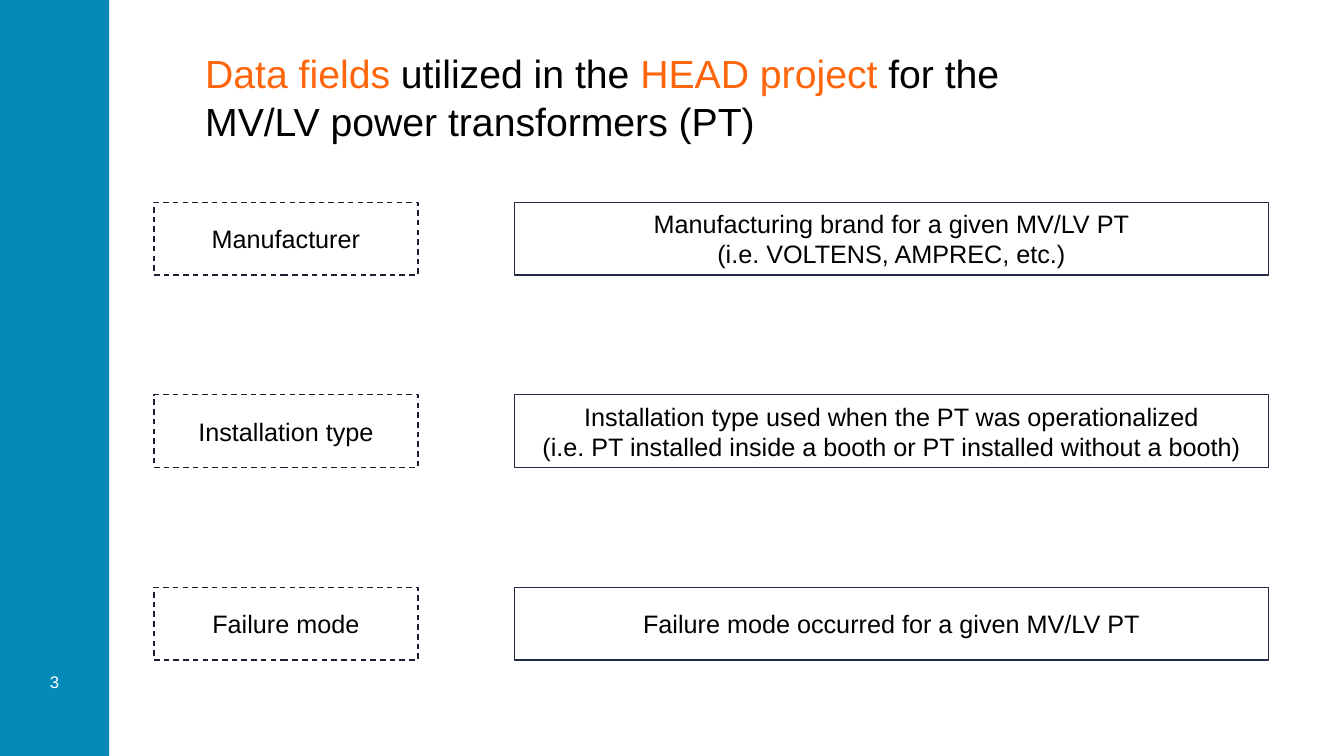
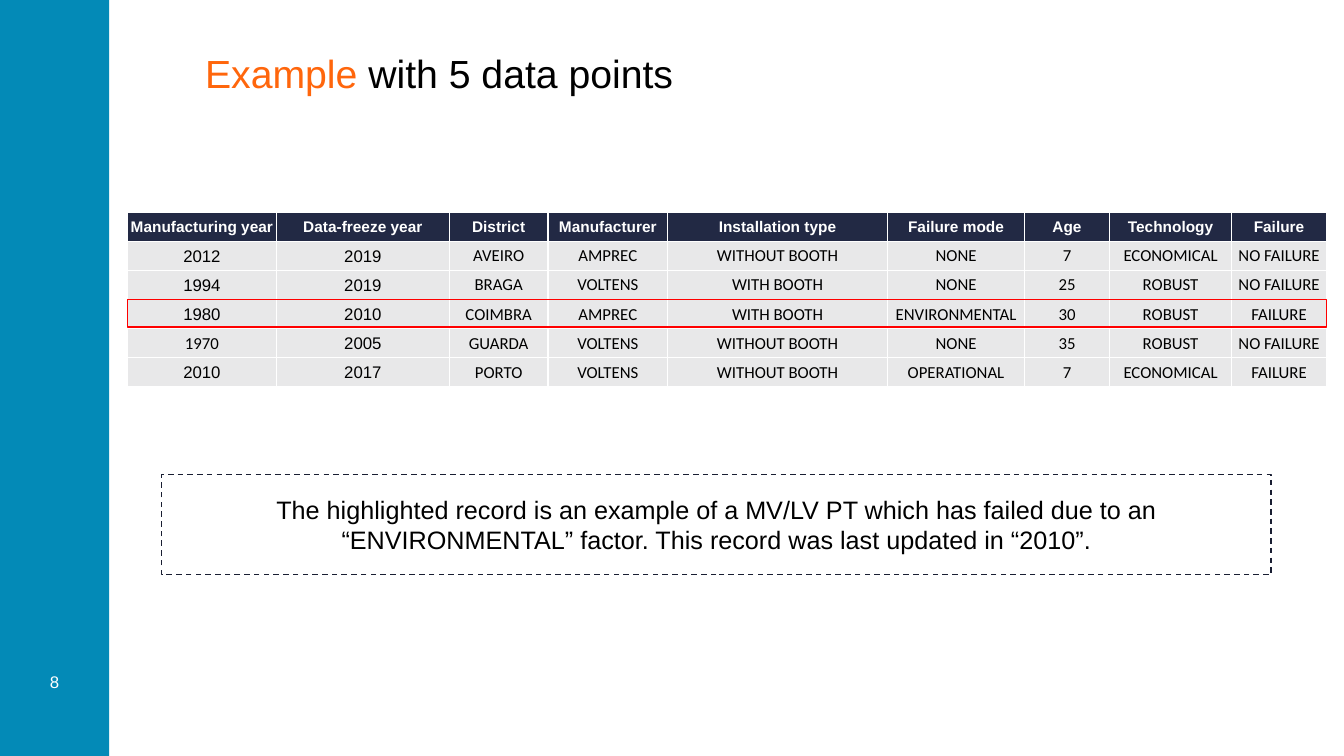
from dataclasses import dataclass

from pptx import Presentation
from pptx.dml.color import RGBColor as RGB
from pptx.enum.dml import MSO_LINE as Dash
from pptx.enum.shapes import MSO_SHAPE as Shape
from pptx.enum.text import MSO_ANCHOR as Anchor, PP_ALIGN as Align
from pptx.util import Pt


@dataclass(frozen=True)
class Theme:
    band: str = "038AB7"
    accent: str = "FF660C"
    ink: str = "000000"
    white: str = "FFFFFF"
    navy: str = "222944"
    edge: str = "191E32"
    cell: str = "E8E8E9"
    alert: str = "FF0000"
    sans: str = "Arial"
    data: str = "Calibri"
    title: int = 28
    body: int = 18
    small: int = 12
    head: int = 11


class Deck:
    def __init__(self, theme):
        self.theme = theme
        self.prs = Presentation()
        self.prs.slide_width = Pt(960)
        self.prs.slide_height = Pt(540)
        self.slide = None

    def page(self, number, title):
        t = self.theme
        self.slide = self.prs.slides.add_slide(self.prs.slide_layouts[6])
        self.box((0, 0, 78, 540), fill=t.band)
        self.text((0, 463, 78, 48), [(str(number), t.white)], t.small,
                  Align.CENTER, Anchor.MIDDLE)
        self.text((139.5, 30, 628, 65), title, t.title, spacing=1.04)

    def style(self, run, size, color, font=None, bold=False):
        run.font.name = font or self.theme.sans
        run.font.size = Pt(size)
        run.font.bold = bold
        run.font.color.rgb = RGB.from_string(color)

    def text(self, area, parts, size, align=Align.LEFT, anchor=Anchor.TOP,
             spacing=1.0):
        frame = self.slide.shapes.add_textbox(*map(Pt, area)).text_frame
        frame.word_wrap = True
        frame.vertical_anchor = anchor
        para = frame.paragraphs[0]
        para.alignment = align
        para.line_spacing = spacing
        for words, color in parts:
            run = para.add_run()
            run.text = words
            self.style(run, size, color)

    def box(self, area, words="", fill=None, line=None, dash=False):
        shape = self.slide.shapes.add_shape(Shape.RECTANGLE, *map(Pt, area))
        shape.shadow.inherit = False
        if fill:
            shape.fill.solid()
            shape.fill.fore_color.rgb = RGB.from_string(fill)
        else:
            shape.fill.background()
        if line:
            shape.line.color.rgb = RGB.from_string(line)
            shape.line.width = Pt(1)
            if dash:
                shape.line.dash_style = Dash.DASH
        else:
            shape.line.fill.background()
        if words:
            frame = shape.text_frame
            frame.word_wrap = True
            frame.vertical_anchor = Anchor.MIDDLE
            frame.text = words
            for para in frame.paragraphs:
                para.alignment = Align.CENTER
                for run in para.runs:
                    self.style(run, self.theme.body, self.theme.ink)

    def table(self, left, top, widths, height, rows, plain):
        t = self.theme
        grid = self.slide.shapes.add_table(
            len(rows), len(widths), Pt(left), Pt(top),
            Pt(sum(widths)), Pt(height * len(rows))).table
        grid.horz_banding = False
        for col, width in zip(grid.columns, widths):
            col.width = Pt(width)
        for r, row in enumerate(rows):
            grid.rows[r].height = Pt(height)
            for c, words in enumerate(row):
                cell = grid.cell(r, c)
                cell.margin_left = cell.margin_right = Pt(0.72)
                cell.margin_top, cell.margin_bottom = Pt(0.72), Pt(0)
                cell.vertical_anchor = Anchor.MIDDLE
                cell.fill.solid()
                cell.fill.fore_color.rgb = RGB.from_string(
                    t.cell if r else t.navy)
                cell.text_frame.text = words
                para = cell.text_frame.paragraphs[0]
                para.alignment = Align.CENTER
                run = para.runs[0]
                if r:
                    sans = c < 2 and (r, c) not in plain
                    self.style(run, t.small, t.ink, t.sans if sans else t.data)
                else:
                    self.style(run, t.head, t.white, bold=True)


FIELDS = [
    ("Manufacturer",
     "Manufacturing brand for a given MV/LV PT\n(i.e. VOLTENS, AMPREC, etc.)"),
    ("Installation type",
     "Installation type used when the PT was operationalized\n"
     "(i.e. PT installed inside a booth or PT installed without a booth)"),
    ("Failure mode", "Failure mode occurred for a given MV/LV PT"),
]

WIDTHS = [106.5, 123.5, 70.5, 85.5, 157, 98, 60.5, 87.5, 67.5]

RECORDS = [
    ("Manufacturing year", "Data-freeze year", "District", "Manufacturer",
     "Installation type", "Failure mode", "Age", "Technology", "Failure"),
    ("2012", "2019", "AVEIRO", "AMPREC", "WITHOUT BOOTH", "NONE", "7",
     "ECONOMICAL", "NO FAILURE"),
    ("1994", "2019", "BRAGA", "VOLTENS", "WITH BOOTH", "NONE", "25",
     "ROBUST", "NO FAILURE"),
    ("1980", "2010", "COIMBRA", "AMPREC", "WITH BOOTH", "ENVIRONMENTAL", "30",
     "ROBUST", "FAILURE"),
    ("1970", "2005", "GUARDA", "VOLTENS", "WITHOUT BOOTH", "NONE", "35",
     "ROBUST", "NO FAILURE"),
    ("2010", "2017", "PORTO", "VOLTENS", "WITHOUT BOOTH", "OPERATIONAL", "7",
     "ECONOMICAL", "FAILURE"),
]


def fields(deck):
    t = deck.theme
    deck.page(3, [("Data fields ", t.accent), ("utilized in the ", t.ink),
                  ("HEAD project ", t.accent),
                  ("for the MV/LV power transformers (PT)", t.ink)])
    for i, (name, note) in enumerate(FIELDS):
        top = 144.5 + 137.5 * i
        deck.box((110, top, 188.5, 52), name, t.white, t.edge, True)
        deck.box((367.5, top, 538.5, 52), note, t.white, t.navy)


def sample(deck):
    t = deck.theme
    left, top, height, mark = 91, 151.5, 20.75, 3
    deck.page(8, [("Example", t.accent), (" with 5 data points", t.ink)])
    deck.table(left, top, WIDTHS, height, RECORDS, {(4, 0)})
    deck.box((115.5, 339, 792.5, 71.5),
             "The highlighted record is an example of a MV/LV PT which has "
             "failed due to an “ENVIRONMENTAL” factor. This record was last "
             "updated in “2010”.", line=t.edge, dash=True)
    deck.box((left, top + mark * height, sum(WIDTHS), height - 1),
             line=t.alert)


def main():
    deck = Deck(Theme())
    fields(deck)
    sample(deck)
    deck.prs.save("out.pptx")


if __name__ == "__main__":
    main()
